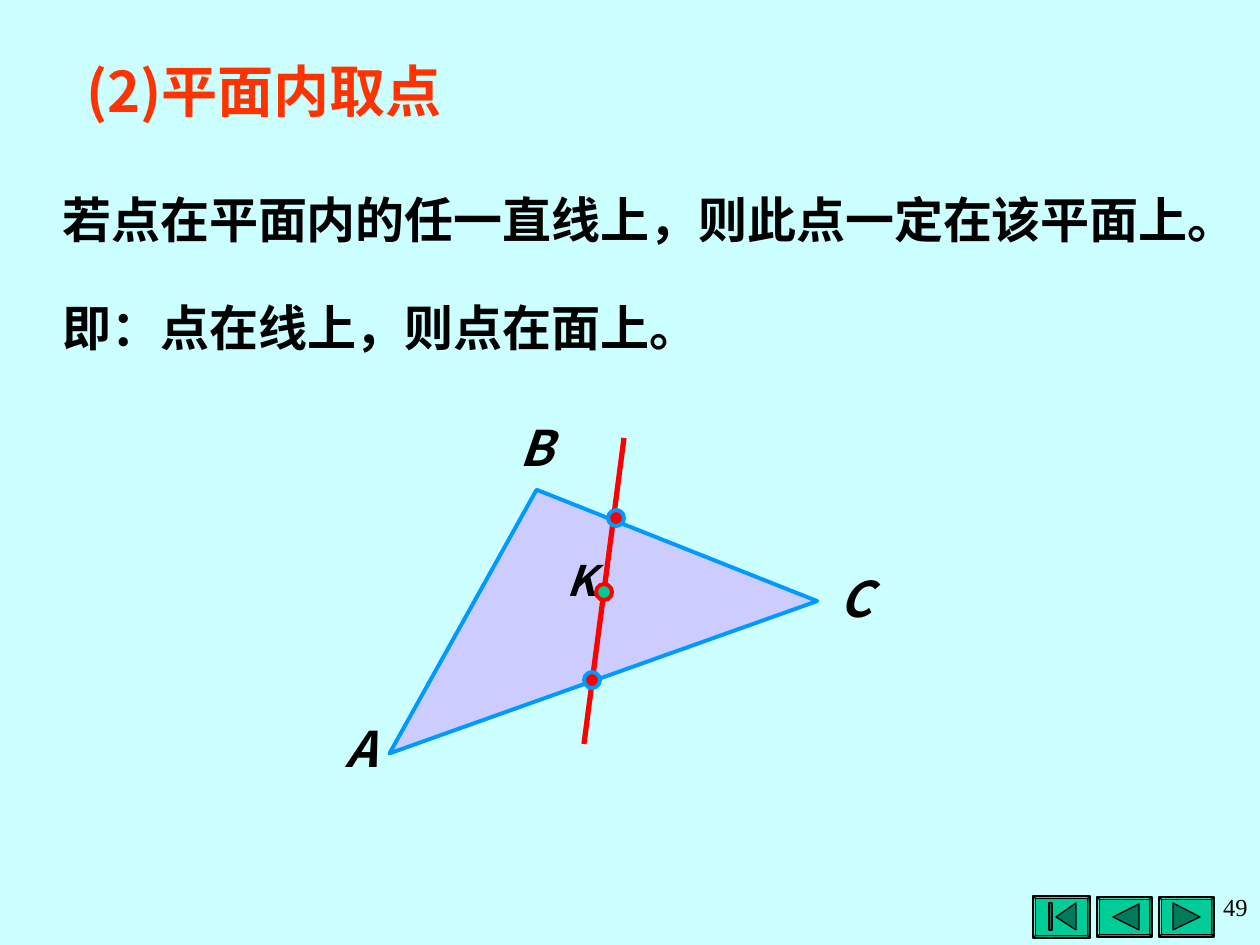
from lxml import etree
from pptx import Presentation
from pptx import util as u
from pptx.dml.color import RGBColor
from pptx.enum import shapes, text
from pptx.oxml.ns import qn

SCALE = 914400 / 126
SANS, SERIF = "Noto Sans CJK SC", "Times New Roman"
BLACK, RED, BLUE, GREEN, DARK_GREEN = "000000", "FF0000", "0099FF", "00CC99", "007A5C"

TITLE = ("(2)平面内取点", (74, 50, 437, 81))
STATEMENTS = [
    ("若点在平面内的任一直线上，则此点一定在该平面上。", (50, 192, 1174, 72)),
    ("即：点在线上，则点在面上。", (50, 300, 925, 72)),
]
LABELS = [
    ("K", (554, 556, 48, 63), 24, True),
    ("B", (507, 420, 54, 72), 28, False),
    ("A", (333, 721, 54, 72), 28, False),
    ("C", (827, 571, 54, 72), 28, False),
]
PAGE_NUMBER = ("49", (942, 886, 318, 77))

TRIANGLE = (343, 484, 454, 199)
TRIANGLE_ROTATION = 340.4
RED_LINE = (624, 438, 584, 744)
POINT_SIZE = 16
POINTS = [(592, 680, RED, BLUE), (616, 518, RED, BLUE), (604, 592, GREEN, RED)]

BUTTONS = [
    ((1159, 897, 55, 40), [[(1173, 903), (1200, 917), (1173, 930)]]),
    ((1097, 897, 55, 40), [[(1113, 917), (1139, 904), (1139, 930)]]),
    ((1033, 896, 57, 42), [
        [(1056, 917), (1076, 903), (1076, 930)],
        [(1049, 903), (1052, 903), (1052, 930), (1049, 930)],
    ]),
]


def px(*values):
    return [u.Emu(round(value * SCALE)) for value in values]


def color(value):
    return RGBColor.from_string(value)


def style(shape, fill, line, width):
    shape.shadow.inherit = False
    shape.fill.solid()
    shape.fill.fore_color.rgb = color(fill)
    shape.line.color.rgb = color(line)
    shape.line.width = u.Pt(width)
    return shape


def add_shape(slide, kind, box, fill, line, width):
    return style(slide.shapes.add_shape(kind, *px(*box)), fill, line, width)


def add_text(slide, content, box, size, font_name, fill=BLACK, bold=True, italic=False,
             align=text.PP_ALIGN.LEFT, anchor=text.MSO_ANCHOR.TOP, wrap=True, spacing=0.85):
    frame = slide.shapes.add_textbox(*px(*box)).text_frame
    frame.word_wrap = wrap
    frame.vertical_anchor = anchor
    paragraph = frame.paragraphs[0]
    paragraph.alignment = align
    paragraph.line_spacing = spacing
    run = paragraph.add_run()
    run.text = content
    font = run.font
    font.name, font.size = font_name, u.Pt(size)
    font.bold, font.italic = bold, italic
    font.color.rgb = color(fill)
    east_asian = etree.SubElement(run._r.get_or_add_rPr(), qn("a:ea"))
    east_asian.set("typeface", SANS)


def add_button(slide, box, icon):
    frame = add_shape(slide, shapes.MSO_SHAPE.BEVEL, box, GREEN, BLACK, 0.75)
    frame.adjustments[0] = 0.06
    for outline in icon:
        points = [px(*point) for point in outline]
        builder = slide.shapes.build_freeform(*points[0])
        builder.add_line_segments(points[1:], close=True)
        style(builder.convert_to_shape(), DARK_GREEN, BLACK, 0.75)


def main():
    presentation = Presentation()
    presentation.slide_width, presentation.slide_height = px(1260, 945)
    slide = presentation.slides.add_slide(presentation.slide_layouts[6])
    slide.background.fill.solid()
    slide.background.fill.fore_color.rgb = color("CCFFFF")

    for box, icon in BUTTONS:
        add_button(slide, box, icon)

    add_text(slide, *TITLE, 32, SANS, fill="FF3300", anchor=text.MSO_ANCHOR.MIDDLE, spacing=1.0)
    for content, box in STATEMENTS:
        add_text(slide, content, box, 28, SERIF)

    triangle = add_shape(slide, shapes.MSO_SHAPE.ISOSCELES_TRIANGLE, TRIANGLE, "CCCCFF", BLUE, 2.25)
    triangle.rotation = TRIANGLE_ROTATION
    line = slide.shapes.add_connector(shapes.MSO_CONNECTOR.STRAIGHT, *px(*RED_LINE))
    line.line.color.rgb = color(RED)
    line.line.width = u.Pt(3)
    etree.SubElement(line._element.spPr, qn("a:effectLst"))
    for x, y, fill, outline in POINTS:
        box = (x - POINT_SIZE / 2, y - POINT_SIZE / 2, POINT_SIZE, POINT_SIZE)
        add_shape(slide, shapes.MSO_SHAPE.OVAL, box, fill, outline, 2.25)

    for content, box, size, wrap in LABELS:
        add_text(slide, content, box, size, SANS, italic=True,
                 align=text.PP_ALIGN.CENTER, wrap=wrap)
    add_text(slide, *PAGE_NUMBER, 14, SERIF, bold=False, align=text.PP_ALIGN.RIGHT, spacing=1.0)

    presentation.save("out.pptx")


if __name__ == "__main__":
    main()
